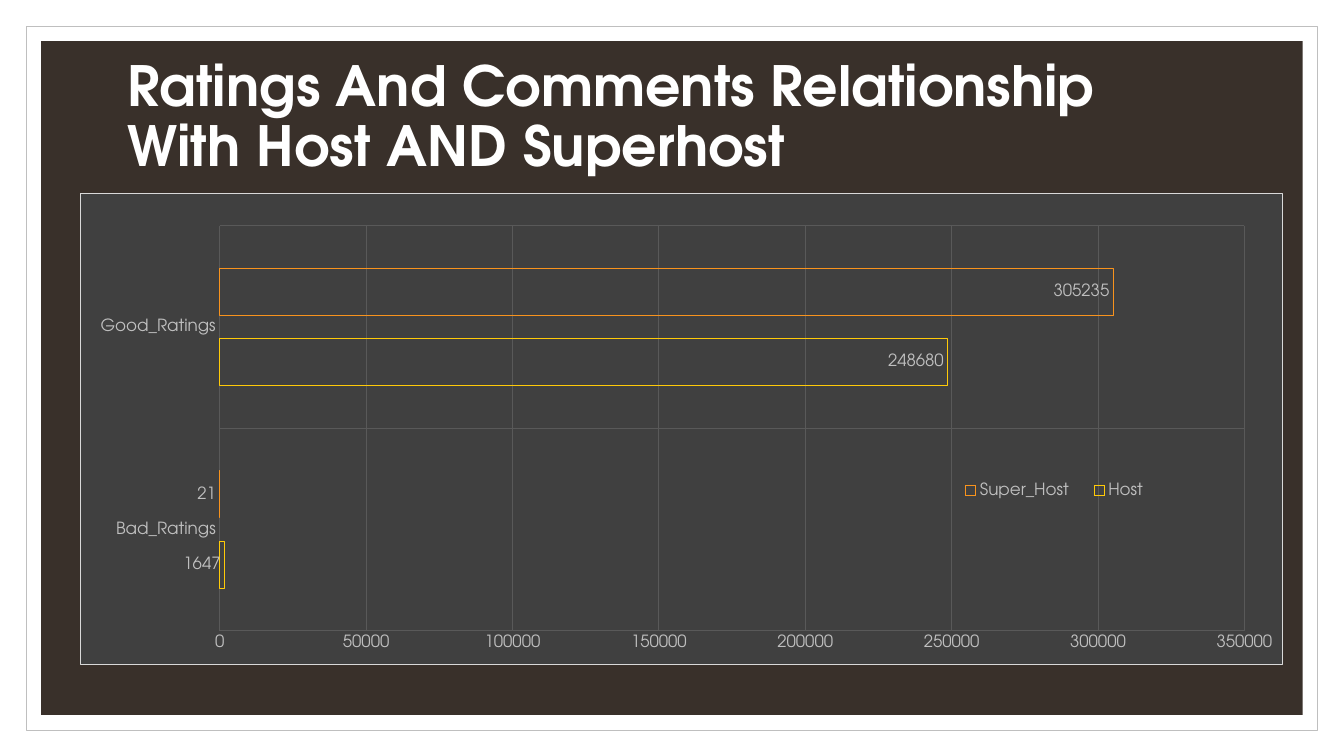
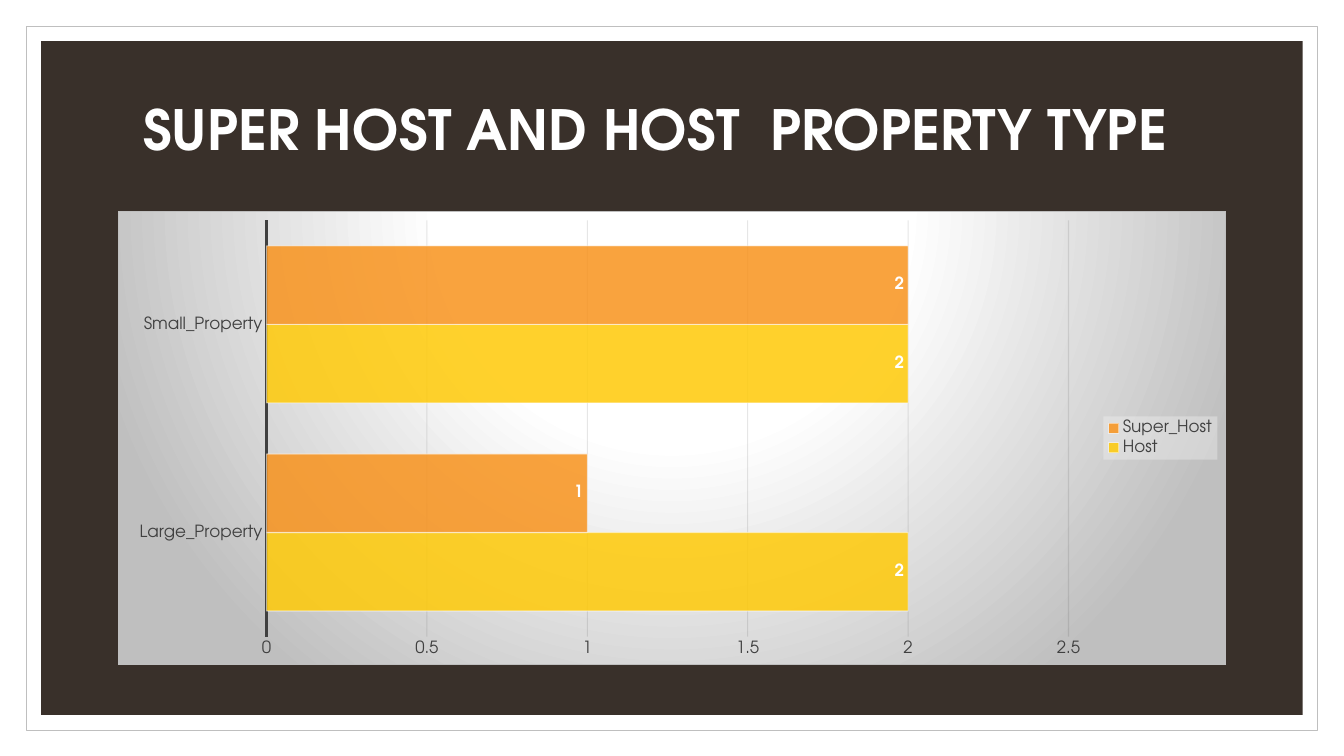
from dataclasses import dataclass

from pptx import Presentation
from pptx.chart.data import CategoryChartData as ChartData
from pptx.dml.color import RGBColor
from pptx.enum.chart import XL_CHART_TYPE as ChartType
from pptx.enum.chart import XL_LABEL_POSITION as LabelPosition
from pptx.enum.chart import XL_LEGEND_POSITION as LegendPosition
from pptx.enum.chart import XL_TICK_MARK as TickMark
from pptx.enum.shapes import MSO_SHAPE as Preset
from pptx.enum.text import MSO_ANCHOR as Anchor
from pptx.enum.text import PP_ALIGN as Align
from pptx.oxml import parse_xml
from pptx.oxml.ns import nsdecls
from pptx.util import Inches, Pt


@dataclass(frozen=True)
class Theme:
    font: str = "TeX Gyre Adventor"
    white: str = "FFFFFF"
    brown: str = "39302A"
    charcoal: str = "404040"
    grid: str = "595959"
    ink: str = "0D0D0D"
    silver: str = "BFBFBF"
    pale: str = "D9D9D9"
    mist: str = "F2F2F2"
    yellow: str = "FFCA08"
    orange: str = "F8931D"
    title_size: float = 39.6
    chart_size: float = 10
    label_size: float = 12
    hairline: float = 0.5
    thin: float = 0.75
    thick: float = 1.5


@dataclass(frozen=True)
class Box:
    """An area in columns and rows of the slide grid."""
    left: float
    top: float
    width: float
    height: float

    def inset(self, step):
        return Box(self.left + step, self.top + step,
                   self.width - 2 * step, self.height - 2 * step)

    def lengths(self):
        return [round(value * CELL) for value in
                (self.left, self.top, self.width, self.height)]


THEME = Theme()
CELL = Inches(1) / 12
PAGE = Box(0, 0, 160, 90)
SERIES_COLOURS = (THEME.yellow, THEME.orange)


# Shared styling
def rgb(colour):
    return RGBColor.from_string(colour)


def style_font(font, size, colour, bold=False):
    font.name, font.size, font.bold = THEME.font, Pt(size), bold
    font.color.rgb = rgb(colour)


def style_line(line, colour=None, width=THEME.thin):
    if colour is None:
        line.fill.background()
    else:
        line.color.rgb = rgb(colour)
        line.width = Pt(width)


def fade(chart, query, percent):
    for colour in chart.element.xpath(query):
        colour.append(parse_xml(
            f'<a:alpha {nsdecls("a")} val="{percent * 1000}"/>'))


def solid(colour, percent=100):
    return (f'<a:solidFill><a:srgbClr val="{colour}">'
            f'<a:alpha val="{percent * 1000}"/></a:srgbClr></a:solidFill>')


def glow(stops):
    marks = "".join(f'<a:gs pos="{place * 1000}"><a:srgbClr val="{colour}"/></a:gs>'
                    for place, colour in stops)
    return (f'<a:gradFill><a:gsLst>{marks}</a:gsLst><a:path path="circle">'
            '<a:fillToRect l="50000" t="-80000" r="50000" b="180000"/>'
            '</a:path></a:gradFill>')


def panel(fill, border=None):
    edge = solid(border) if border else "<a:noFill/>"
    return parse_xml(f'<c:spPr {nsdecls("c", "a")}>{fill}'
                     f'<a:ln w="{Pt(THEME.thin)}">{edge}</a:ln></c:spPr>')


def set_layout(parent, index, shares, inner=False):
    for old in parent.xpath("c:layout"):
        parent.remove(old)
    target = '<c:layoutTarget val="inner"/>' if inner else ""
    modes = '<c:xMode val="edge"/><c:yMode val="edge"/>'
    sizes = "".join(f'<c:{key} val="{share}"/>' for key, share in zip("xywh", shares))
    parent.insert(index, parse_xml(
        f'<c:layout {nsdecls("c")}><c:manualLayout>{target}{modes}{sizes}'
        '</c:manualLayout></c:layout>'))


# Page frame: thin outline around a dark field
def draw_frame(page, box):
    for step, fill, edge in ((3.1, THEME.white, THEME.silver),
                             (4.9, THEME.brown, None)):
        field = page.shapes.add_shape(Preset.RECTANGLE, *box.inset(step).lengths())
        field.shadow.inherit = False
        field.fill.solid()
        field.fill.fore_color.rgb = rgb(fill)
        style_line(field.line, edge, THEME.hairline)


# Title: sits on the bottom of its box, raised by a lift in rows
def draw_title(page, box, text, lift, align=Align.LEFT, right=1.2):
    frame = page.shapes.add_textbox(*box.lengths()).text_frame
    frame.word_wrap = True
    frame.vertical_anchor = Anchor.BOTTOM
    frame.margin_bottom = round(lift * CELL)
    frame.margin_right = round(right * CELL)
    para = frame.paragraphs[0]
    para.alignment, para.line_spacing = align, 0.9
    span = para.add_run()
    span.text = text
    style_font(span.font, THEME.title_size, THEME.white, bold=True)


# Bar chart with the parts both slides share
def draw_bars(page, box, categories, series, text_colour, grid_colour,
              top, step, plot_shares, gap, backdrop):
    data = ChartData()
    data.categories = categories
    for name, values in series:
        data.add_series(name, values)
    chart = page.shapes.add_chart(
        ChartType.BAR_CLUSTERED, *box.lengths(), data).chart
    chart.has_title = False
    style_font(chart.font, THEME.chart_size, THEME.white)
    chart.element.xpath("c:chart")[0].addnext(backdrop)

    # Axes
    for axis in (chart.category_axis, chart.value_axis):
        axis.major_tick_mark = axis.minor_tick_mark = TickMark.NONE
        style_font(axis.tick_labels.font, THEME.label_size, text_colour)
        style_line(axis.format.line)
    scale = chart.value_axis
    scale.minimum_scale, scale.maximum_scale, scale.major_unit = 0, top, step
    scale.has_major_gridlines = True
    style_line(scale.major_gridlines.format.line, grid_colour)

    # Plot and legend
    bars = chart.plots[0]
    bars.gap_width = gap
    bars.vary_by_categories = False
    set_layout(chart.element.xpath(".//c:plotArea")[0], 0, plot_shares, inner=True)
    chart.has_legend = True
    chart.legend.position = LegendPosition.RIGHT
    chart.legend.include_in_layout = False
    style_font(chart.legend.font, THEME.label_size, text_colour)
    return chart


def label_bars(bar_series, colour, bold=False):
    labels = bar_series.data_labels
    labels.show_value = True
    labels.position = LabelPosition.INSIDE_END
    style_font(labels.font, THEME.label_size, colour, bold)


# Outlined bars on a charcoal panel
def draw_ratings(page, box):
    chart = draw_bars(
        page, box, ("Bad_Ratings", "Good_Ratings"),
        (("Host", (1647, 248680)), ("Super_Host", (21, 305235))),
        THEME.silver, THEME.grid, 350000, 50000, (0.116, 0.068, 0.852, 0.86), 182,
        panel(solid(THEME.charcoal), THEME.pale))
    chart.plots[0].overlap = -50
    chart.category_axis.has_major_gridlines = True
    style_line(chart.category_axis.major_gridlines.format.line, THEME.grid)
    set_layout(chart.legend.element if hasattr(chart.legend, "element")
               else chart.element.xpath(".//c:legend")[0],
               1, (0.72, 0.6, 0.18, 0.06))
    for bar_series, colour in zip(chart.plots[0].series, SERIES_COLOURS):
        bar_series.format.fill.background()
        style_line(bar_series.format.line, colour)
        label_bars(bar_series, THEME.silver)


# Filled bars on a glowing panel
def draw_properties(page, box):
    chart = draw_bars(
        page, box, ("Large_Property", "Small_Property"),
        (("Host", (2, 2)), ("Super_Host", (1, 2))),
        THEME.charcoal, THEME.ink, 2.5, 0.5, (0.134, 0.02, 0.724, 0.918), 65,
        panel(glow(((0, THEME.white), (39, THEME.white), (100, THEME.silver))),
              THEME.silver))
    style_line(chart.category_axis.format.line, THEME.charcoal, THEME.thick)
    chart.element.xpath(".//c:legend/c:txPr")[0].addprevious(
        panel(solid(THEME.mist, 39)))
    for bar_series, colour in zip(chart.plots[0].series, SERIES_COLOURS):
        bar_series.format.fill.solid()
        bar_series.format.fill.fore_color.rgb = rgb(colour)
        style_line(bar_series.format.line, THEME.white)
        label_bars(bar_series, THEME.white, bold=True)
    fade(chart, ".//c:ser/c:spPr/a:solidFill/a:srgbClr", 85)
    fade(chart, ".//c:ser/c:spPr/a:ln/a:solidFill/a:srgbClr", 50)
    fade(chart, ".//c:majorGridlines//a:srgbClr", 10)


# Slides
def add_page(deck):
    page = deck.slides.add_slide(deck.slide_layouts[6])
    draw_frame(page, PAGE)
    return page


def build():
    deck = Presentation()
    _, _, deck.slide_width, deck.slide_height = PAGE.lengths()

    ratings = add_page(deck)
    draw_title(ratings, Box(14, 13, 132, 10),
               "Ratings And Comments Relationship With Host AND Superhost", lift=1.8)
    draw_ratings(ratings, Box(9.5, 23, 143.3, 56.2))

    properties = add_page(deck)
    draw_title(properties, Box(14, 13, 132, 13.5),
               "SUPER HOST AND HOST  PROPERTY TYPE", lift=7.2,
               align=Align.CENTER, right=5.2)
    draw_properties(properties, Box(14, 25.1, 132, 54.1))

    deck.save("out.pptx")


build()
